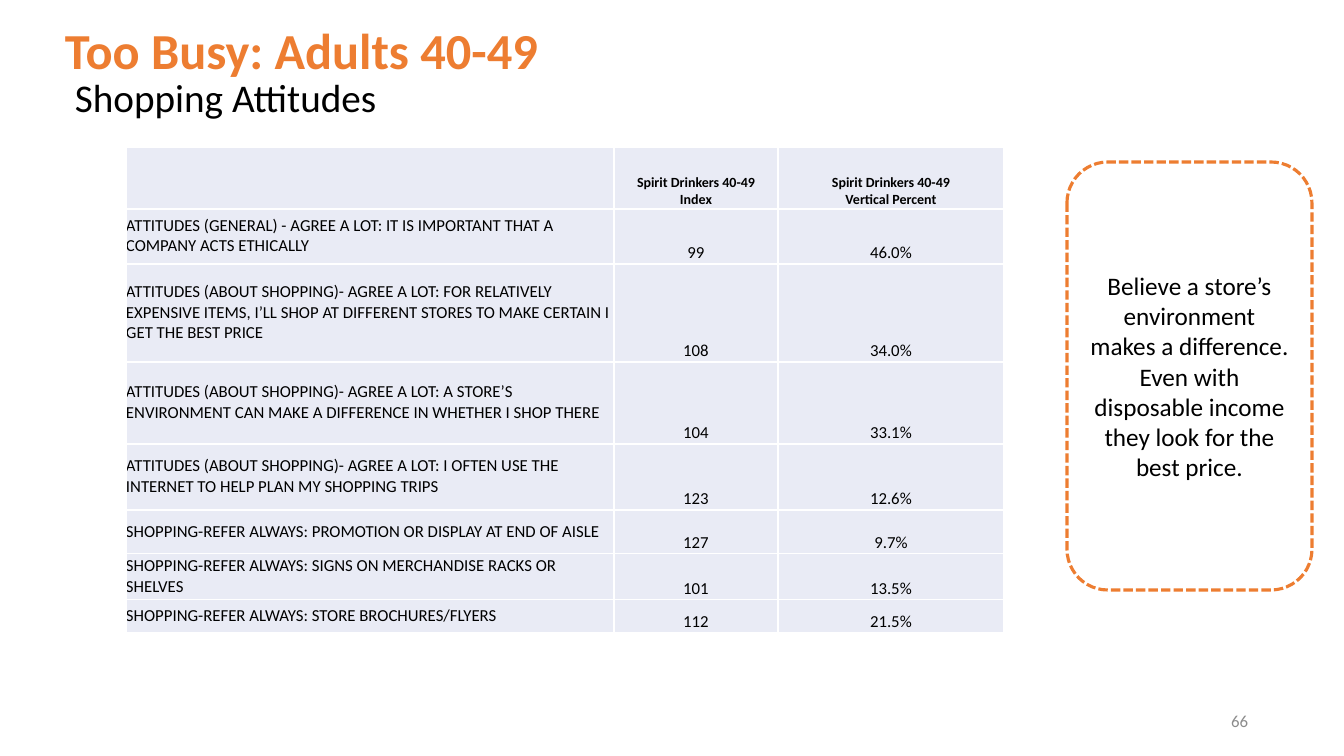
from pptx import Presentation
from pptx.dml.color import RGBColor
from pptx.enum.dml import MSO_LINE
from pptx.enum.shapes import MSO_SHAPE
from pptx.enum.text import MSO_ANCHOR, PP_ALIGN
from pptx.oxml import parse_xml
from pptx.oxml.ns import nsdecls
from pptx.util import Pt

EMU_PER_PX = 914400 / 100.8
FONT = "Calibri"
BLACK = RGBColor(0x00, 0x00, 0x00)
WHITE = RGBColor(0xFF, 0xFF, 0xFF)
GRAY = RGBColor(0x8C, 0x8C, 0x8C)
ORANGE = RGBColor(0xED, 0x7D, 0x31)
LAVENDER = RGBColor(0xE9, 0xEB, 0xF5)

COLUMN_WIDTHS = [488, 164, 226]
ROW_HEIGHTS = [62, 55, 98, 82, 66, 44, 46, 33]
ROWS = [
    ("", "Spirit Drinkers 40-49\nIndex", "Spirit Drinkers 40-49\nVertical Percent"),
    ("ATTITUDES (GENERAL) - AGREE A LOT: IT IS IMPORTANT THAT A COMPANY ACTS ETHICALLY",
     "99", "46.0%"),
    ("ATTITUDES (ABOUT SHOPPING)- AGREE A LOT: FOR RELATIVELY EXPENSIVE ITEMS, "
     "I’LL SHOP AT DIFFERENT STORES TO MAKE CERTAIN I GET THE BEST PRICE",
     "108", "34.0%"),
    ("ATTITUDES (ABOUT SHOPPING)- AGREE A LOT: A STORE’S ENVIRONMENT "
     "CAN MAKE A DIFFERENCE IN WHETHER I SHOP THERE",
     "104", "33.1%"),
    ("ATTITUDES (ABOUT SHOPPING)- AGREE A LOT: I OFTEN USE THE INTERNET "
     "TO HELP PLAN MY SHOPPING TRIPS",
     "123", "12.6%"),
    ("SHOPPING-REFER ALWAYS: PROMOTION OR DISPLAY AT END OF AISLE", "127", "9.7%"),
    ("SHOPPING-REFER ALWAYS: SIGNS ON MERCHANDISE RACKS OR SHELVES", "101", "13.5%"),
    ("SHOPPING-REFER ALWAYS: STORE BROCHURES/FLYERS", "112", "21.5%"),
]


def px(n):
    return round(n * EMU_PER_PX)


def write(tf, text, size, color=BLACK, bold=False, align=PP_ALIGN.LEFT, spacing=None):
    tf.text = text
    for p in tf.paragraphs:
        p.alignment = align
        p.line_spacing = spacing
        p.font.name = FONT
        p.font.size = Pt(size)
        p.font.bold = bold
        p.font.color.rgb = color


def add_text(s, box, text, size, anchor=MSO_ANCHOR.MIDDLE, **style):
    tf = s.shapes.add_textbox(*map(px, box)).text_frame
    tf.word_wrap = True
    tf.vertical_anchor = anchor
    write(tf, text, size, **style)


def add_borders(cell):
    tc_pr = cell._tc.get_or_add_tcPr()
    for side in "LRTB":
        tc_pr.append(parse_xml(
            f'<a:ln{side} {nsdecls("a")} w="12700"><a:solidFill>'
            f'<a:srgbClr val="{WHITE}"/></a:solidFill></a:ln{side}>'))


def style_cell(cell, text, is_header, is_label):
    cell.margin_left = cell.margin_right = cell.margin_top = 0
    cell.margin_bottom = px(1)
    cell.vertical_anchor = (
        MSO_ANCHOR.MIDDLE if is_label and not is_header else MSO_ANCHOR.BOTTOM)
    add_borders(cell)
    cell.fill.solid()
    cell.fill.fore_color.rgb = LAVENDER
    write(cell.text_frame, text, 10 if is_header else 12, bold=is_header,
          align=PP_ALIGN.LEFT if is_label else PP_ALIGN.CENTER)


def add_attitude_table(s, left, top):
    box = (left, top, sum(COLUMN_WIDTHS), sum(ROW_HEIGHTS))
    table = s.shapes.add_table(len(ROWS), len(COLUMN_WIDTHS), *map(px, box)).table
    table.first_row = table.horz_banding = False
    for column, width in zip(table.columns, COLUMN_WIDTHS):
        column.width = px(width)
    for i, (row, height) in enumerate(zip(table.rows, ROW_HEIGHTS)):
        row.height = px(height)
        for j, text in enumerate(ROWS[i]):
            style_cell(table.cell(i, j), text, i == 0, j == 0)


def add_callout(s, box, text):
    sp = s.shapes.add_shape(MSO_SHAPE.ROUNDED_RECTANGLE, *map(px, box))
    sp.shadow.inherit = False
    sp.fill.solid()
    sp.fill.fore_color.rgb = WHITE
    sp.line.color.rgb = ORANGE
    sp.line.width = Pt(2.25)
    sp.line.dash_style = MSO_LINE.SQUARE_DOT
    tf = sp.text_frame
    tf.word_wrap = True
    tf.vertical_anchor = MSO_ANCHOR.MIDDLE
    write(tf, text, 18, align=PP_ALIGN.CENTER)


def main():
    prs = Presentation()
    prs.slide_width, prs.slide_height = px(1344), px(756)
    s = prs.slides.add_slide(prs.slide_layouts[6])
    add_text(s, (65, 27, 1159, 146), "Shopping Attitudes", 28, spacing=0.9)
    add_text(s, (956, 701, 302, 40), "66", 12, color=GRAY, align=PP_ALIGN.RIGHT)
    add_attitude_table(s, 126, 147)
    add_text(s, (55, 14, 1159, 71), "Too Busy: Adults 40-49", 36,
             anchor=MSO_ANCHOR.BOTTOM, color=ORANGE, bold=True, spacing=0.9)
    add_callout(s, (1067, 162, 245, 428),
                "Believe a store’s environment makes a difference. "
                "Even with disposable income they look for the best price.")
    prs.save("out.pptx")


if __name__ == "__main__":
    main()
